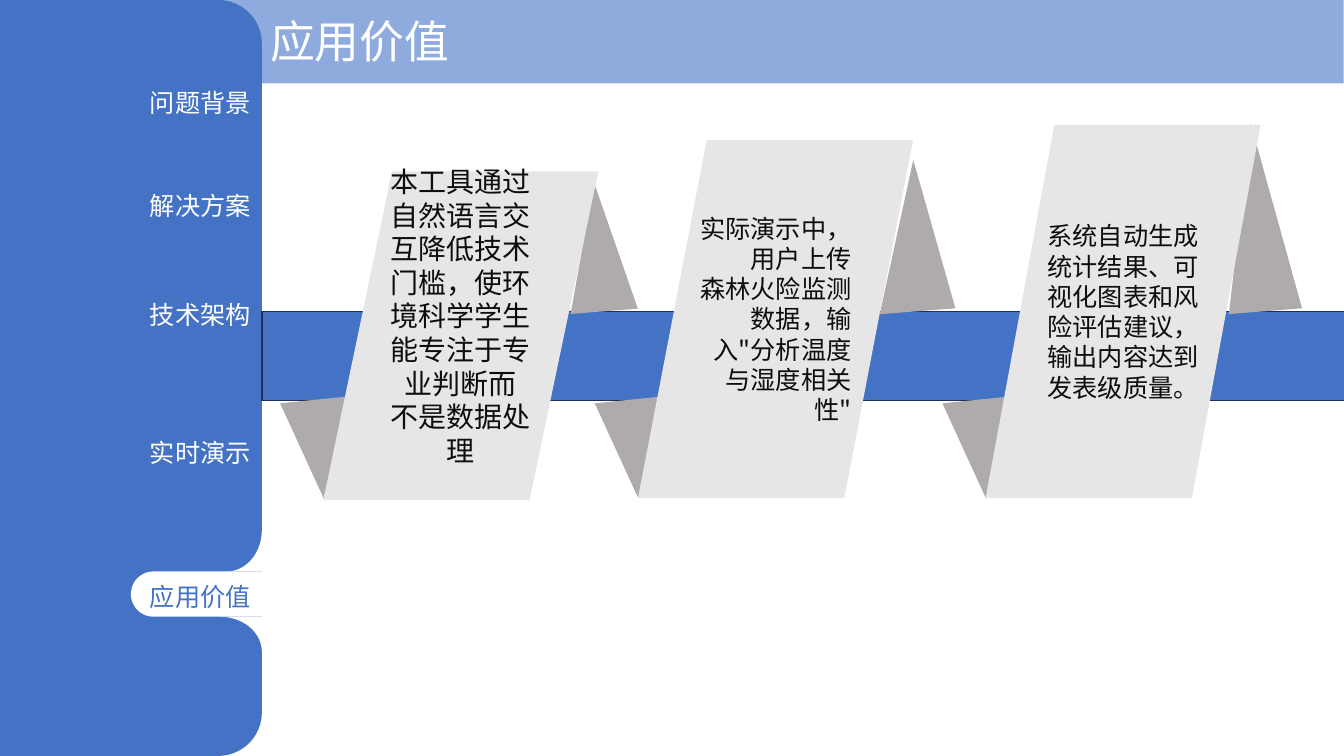
from math import cos, pi, sin
from pptx import Presentation
from pptx.dml.color import RGBColor
from pptx.enum.shapes import MSO_SHAPE
from pptx.enum.text import MSO_ANCHOR, MSO_AUTO_SIZE, PP_ALIGN
from pptx.oxml.ns import qn
from pptx.util import Cm, Pt

RECT, TRIANGLE = MSO_SHAPE.RECTANGLE, MSO_SHAPE.ISOSCELES_TRIANGLE
PARALLELOGRAM, ROUND_RECT = MSO_SHAPE.PARALLELOGRAM, MSO_SHAPE.ROUNDED_RECTANGLE
ROUND_TOP = MSO_SHAPE.ROUND_2_SAME_RECTANGLE
LEFT, CENTER, RIGHT = PP_ALIGN.LEFT, PP_ALIGN.CENTER, PP_ALIGN.RIGHT
MIDDLE, FIT_SHAPE = MSO_ANCHOR.MIDDLE, MSO_AUTO_SIZE.SHAPE_TO_FIT_TEXT

TITLE = "应用价值"
MENU = [
    ("问题背景", 2.08), ("解决方案", 4.67), ("技术架构", 7.42),
    ("实时演示", 10.9), ("应用价值", 14.53),
]
RIBBONS = [
    {"left": 8.15, "top": 4.32, "height": 8.28, "size": 20, "align": CENTER, "lift": 1.0,
     "paragraphs": [["本工具通过自然语言交互降低技术门槛，使环境科学学生能专注于专业判断而"],
                    ["不是数据处理"]],
     "fold": (14.25, 4.6, 1.7, 0.5)},
    {"left": 16.08, "top": 3.53, "height": 9.02, "size": 18, "align": RIGHT, "lift": 0,
     "paragraphs": [["实际演示中，", "用户上传", "森林火险监测数据，输入\"分析温度与湿度相关性\""]],
     "fold": (22.02, 4.04, 1.91, 0.6)},
    {"left": 24.84, "top": 3.15, "height": 9.4, "size": 18, "align": CENTER, "lift": 0,
     "paragraphs": [["系统自动生成统计结果、可视化图表和风险评估建议，输出内容达到发表级质量。"]],
     "fold": (30.78, 3.1, 1.85, 0.5)},
]
THEME = {
    "font": "Noto Sans CJK SC", "title": 32, "menu": 18,
    "blue": "4472C4", "header": "8FAADC", "white": "FFFFFF", "edge": "1E3256",
    "fold": "AFABAB", "ribbon": "E7E6E6", "ink": "0D0D0D",
}
SLIDE_W, SLIDE_H = 33.87, 19.05
PANEL_W = 6.6
TAB_TOP, TAB_H = 14.4, 1.14
BAND_TOP, BAND_H = 7.85, 2.24
RIBBON_W = 6.93
ARC_STEPS = 16

prs = Presentation()
prs.slide_width, prs.slide_height = Cm(SLIDE_W), Cm(SLIDE_H)
s = prs.slides.add_slide(prs.slide_layouts[6])


def color(name):
    return RGBColor.from_string(THEME[name])


def paint(sp, fill, line=None):
    sp.shadow.inherit = False
    sp.fill.solid()
    sp.fill.fore_color.rgb = color(fill)
    if line:
        sp.line.color.rgb = color(line)
        sp.line.width = Pt(1)
    else:
        sp.line.fill.background()


def add_shape(kind, box, fill, line=None, rotation=0, adjust=None):
    sp = s.shapes.add_shape(kind, *map(Cm, box))
    paint(sp, fill, line)
    sp.rotation = rotation
    if adjust is not None:
        sp.adjustments[0] = adjust
    return sp


def write(tf, paragraphs, size, ink, align=LEFT):
    tf.word_wrap = True
    for i, lines in enumerate(paragraphs):
        p = tf.add_paragraph() if i else tf.paragraphs[0]
        p.alignment = align
        for j, line in enumerate(lines):
            if j:
                p.add_line_break()
            r = p.add_run()
            r.text = line
            r.font.size = Pt(size)
            r.font.name = THEME["font"]
            r.font.color.rgb = color(ink)
            ea = r.font._element.makeelement(qn("a:ea"), {"typeface": THEME["font"]})
            r.font._element.find(qn("a:latin")).addnext(ea)


def add_notch(y, width, height):
    angles = [pi / 2 * i / ARC_STEPS for i in range(ARC_STEPS + 1)]
    arc = [(Cm(PANEL_W - width + width * sin(a)), Cm(y + height * (1 - cos(a))))
           for a in angles]
    outline = s.shapes.build_freeform(Cm(PANEL_W), Cm(y))
    outline.add_line_segments(arc, close=True)
    paint(outline.convert_to_shape(), "white")


header = add_shape(RECT, (5.54, -0.03, 28.32, 2.13), "header")
header.text_frame.margin_left = Cm(1.27)
header.text_frame.vertical_anchor = MIDDLE
write(header.text_frame, [[TITLE]], THEME["title"], "white")

add_shape(ROUND_TOP, ((PANEL_W - SLIDE_H) / 2, (SLIDE_H - PANEL_W) / 2, SLIDE_H, PANEL_W),
          "blue", rotation=90)
add_shape(ROUND_RECT, (3.3, TAB_TOP, 6.99, TAB_H), "white", adjust=0.5)
add_notch(TAB_TOP + TAB_H, 1.06, 0.88)
add_notch(TAB_TOP, 0.88, -1.04)

for label, top in MENU:
    tf = s.shapes.add_textbox(Cm(3.53), Cm(top), Cm(3.38), Cm(1.02)).text_frame
    tf.auto_size = FIT_SHAPE
    write(tf, [[label]], THEME["menu"], "blue" if label == TITLE else "white")

add_shape(RECT, (PANEL_W, BAND_TOP, 27.53, BAND_H), "blue", "edge")
for ribbon in RIBBONS:
    left, top, width, apex = ribbon["fold"]
    add_shape(TRIANGLE, (left, top, width, BAND_TOP - top), "fold",
              rotation=355.5, adjust=apex)
    add_shape(TRIANGLE, (ribbon["left"] - 0.97, BAND_TOP + BAND_H - 0.02, 1.7, 2.49),
              "fold", rotation=174.2)
    sp = add_shape(PARALLELOGRAM,
                   (ribbon["left"], ribbon["top"], RIBBON_W, ribbon["height"]), "ribbon")
    tf = sp.text_frame
    tf.vertical_anchor = MIDDLE
    tf.margin_bottom = Cm(0.13 + ribbon["lift"])
    write(tf, ribbon["paragraphs"], ribbon["size"], "ink", ribbon["align"])

prs.save("out.pptx")
